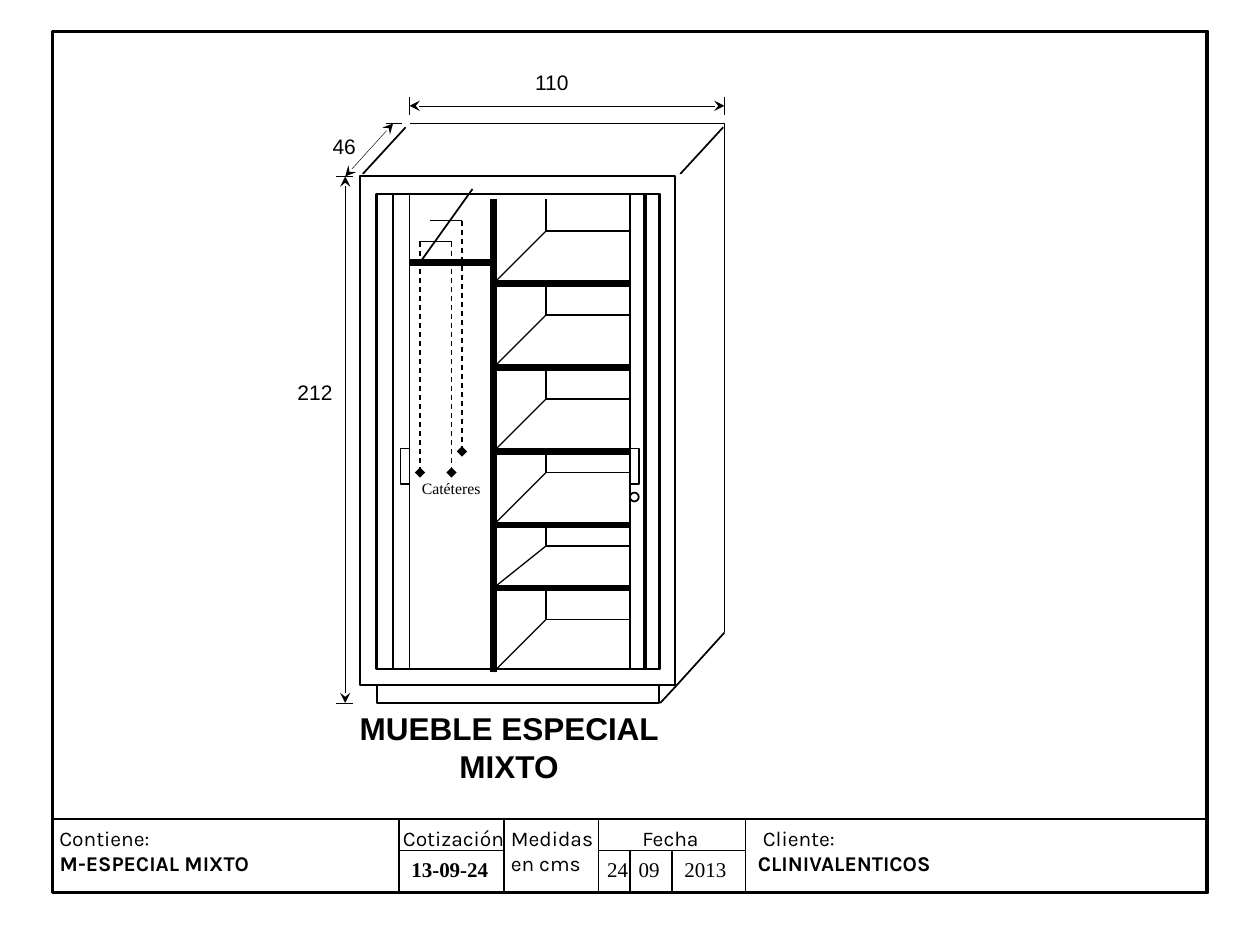
"""Draw the dimensioned sheet of a mixed special cabinet on a twelfth-of-an-inch grid."""
from dataclasses import dataclass

from lxml import etree
from pptx import Presentation
from pptx import util as u
from pptx.dml.color import RGBColor
from pptx.enum import dml, shapes, text
from pptx.oxml.ns import qn


@dataclass(frozen=True)
class Theme:
    """Colours, fonts, type sizes and line weights of the sheet."""
    ink: RGBColor = RGBColor(0, 0, 0)
    label: str = "Karla"
    value: str = "Times New Roman"
    drawing: str = "Arial"
    small: float = 9
    body: float = 12
    title: float = 18
    hair: float = 0.25
    thin: float = 0.75
    outline: float = 1
    opening: float = 1.5
    frame: float = 2.25
    board: float = 3.5


THEME = Theme()
COLUMNS, ROWS = 120, 90


def grid(*counts):
    """Turn counts of grid columns or rows into lengths."""
    return [u.Inches(count / 12) for count in counts]


def apply(target, values):
    """Set each named attribute of the target."""
    for name, value in values.items():
        setattr(target, name, value)


def style_line(line, weight, dash=None):
    """Give a line its ink, weight and dash."""
    line.color.rgb = THEME.ink
    apply(line, {"width": u.Pt(weight), "dash_style": dash})


def add_box(slide, left, top, width, height, weight=THEME.outline,
            kind=shapes.MSO_SHAPE.RECTANGLE):
    """Add an unfilled outline shape."""
    shape = slide.shapes.add_shape(kind, *grid(left, top, width, height))
    shape.shadow.inherit = False
    shape.fill.background()
    style_line(shape.line, weight)


def add_line(slide, x1, y1, x2, y2, weight=THEME.thin, dash=None, head=None, tail=None):
    """Add a straight line, with optional dash and end marks."""
    line = slide.shapes.add_connector(
        shapes.MSO_CONNECTOR.STRAIGHT, *grid(x1, y1, x2, y2))
    style_line(line.line, weight, dash)
    properties = line._element.spPr
    outline = properties.find(qn("a:ln"))
    for tag, mark in (("a:headEnd", head), ("a:tailEnd", tail)):
        if mark:
            etree.SubElement(outline, qn(tag), type=mark)
    etree.SubElement(properties, qn("a:effectLst"))


def add_text(slide, place, lines, font, size=THEME.body, wrap=True, bold=(),
             align=text.PP_ALIGN.LEFT):
    """Add a text box with one paragraph per line; bold holds line indexes."""
    frame = slide.shapes.add_textbox(*grid(*place)).text_frame
    apply(frame, {"word_wrap": wrap, "auto_size": text.MSO_AUTO_SIZE.SHAPE_TO_FIT_TEXT})
    for index, words in enumerate(lines):
        paragraph = frame.add_paragraph() if index else frame.paragraphs[0]
        paragraph.alignment = align
        run = paragraph.add_run()
        run.text = words
        apply(run.font, {"name": font, "size": u.Pt(size), "bold": index in bold})
        run.font.color.rgb = THEME.ink


def add_title_block(slide):
    """Add the sheet frame and the block of fields at its foot."""
    left, right, top, middle, bottom = 5, 115, 78, 81, 85
    add_box(slide, left, 3, right - left, 82, THEME.frame)
    add_line(slide, left, top, right, top)
    for column in (38, 48, 57, 71):
        add_line(slide, column, top, column, bottom)
    for column in (60, 64):
        add_line(slide, column, middle, column, bottom)
    for start, end in ((38, 48), (57, 71)):
        add_line(slide, start, middle, end, middle)
    for column, width, lines, bold in (
            (4, 37, [" Contiene:", " M-ESPECIAL MIXTO"], (1,)),
            (71, 43, [" Cliente:", "CLINIVALENTICOS"], (1,)),
            (47, 16.2, [" Medidas", " en cms"], ()),
            (60, 11, ["Fecha"], ()),
            (36.72, 16.2, [" Cotización"], ())):
        add_text(slide, (column, top, width, 3 * len(lines)), lines, THEME.label, bold=bold)
    add_text(slide, (38, middle, 12, 3.6), ["13-09-24"], THEME.value, bold=(0,))
    for column, width, words in ((56.64, 4.44, "24"), (59.64, 4.44, "09"), (64, 6.36, "2013")):
        add_text(slide, (column, middle, width, 3.6), [words], THEME.value, wrap=False)


def add_carcass(slide):
    """Add the cabinet body, its receding sides, doors, handles and lock."""
    add_box(slide, 35.88, 18.48, 26.88, 45.24, THEME.opening)
    add_box(slide, 34.32, 16.8, 30, 48.48)
    add_box(slide, 35.88, 65.28, 26.88, 1.68)
    for ends in ((64.8, 16.56, 68.88, 12.12), (69, 11.76, 69, 60.24),
                 (62.88, 66.96, 64.44, 65.28), (64.44, 65.28, 69, 60.24),
                 (69, 11.76, 39, 11.76), (34.56, 16.56, 38.64, 12.12)):
        add_line(slide, *ends, THEME.outline)
    for column in (35.88, 37.44, 60, 61.32):
        add_box(slide, column, 18.48, 1.56, 45.24)
    for column in (38.16, 60):
        add_box(slide, column, 42.72, 0.84, 3.36)
    add_box(slide, 60, 46.92, 0.84, 0.84, kind=shapes.MSO_SHAPE.OVAL)


def add_shelves(slide):
    """Add the partition and the compartments on its right."""
    front, back, right = 47, 52, 60
    edges = (19, 27, 35, 43, 50, 56, 64)
    depths = (22, 30, 38, 45, 52, 59)
    add_line(slide, front, edges[0], front, edges[-1], THEME.board)
    for ceiling, floor, depth in zip(edges, edges[1:], depths):
        add_line(slide, back, ceiling, back, depth)
        add_line(slide, back, depth, right, depth)
        add_line(slide, front, floor, back, depth)
        if floor != edges[-1]:
            add_line(slide, front, floor, right, floor, THEME.board)


def add_catheter_rack(slide):
    """Add the shelf, rod and hanging catheters on the left."""
    add_line(slide, 39, 25, 47, 25, THEME.board)
    add_line(slide, 40, 25, 45, 18, THEME.outline)
    add_line(slide, 40, 23, 43, 23)
    add_line(slide, 41, 21, 44, 21)
    for column, row in ((40, 23), (43, 23), (44, 21)):
        add_line(slide, column, row, column, row + 22,
                 dash=dml.MSO_LINE.DASH, tail="diamond")
    add_text(slide, (39, 45, 8, 3), ["Catéteres"], THEME.value, THEME.small, wrap=False)


def add_dimensions(slide):
    """Add the extension ticks, arrows and measures."""
    for ends in ((33.6, 66.96, 32.04, 66.96), (33.6, 16.8, 32.04, 16.8),
                 (38.28, 11.76, 36.72, 11.76), (39, 10.92, 39, 9.24),
                 (69, 10.92, 69, 9.24)):
        add_line(slide, *ends, THEME.hair)
    for ends, place, measure in (
            ((39, 10.08, 69, 10.08), (49.68, 6, 5.76, 3.6), "110"),
            ((37.44, 11.76, 32.88, 16.8), (30.48, 12.12, 5.16, 3.6), "46 "),
            ((32.88, 16.8, 32.88, 66.96), (27.12, 35.52, 5.76, 3.6), "212")):
        add_line(slide, *ends, THEME.hair, head="stealth", tail="stealth")
        add_text(slide, place, [measure], THEME.drawing, wrap=False,
                 align=text.PP_ALIGN.CENTER)


def main():
    """Build and save the sheet."""
    presentation = Presentation()
    width, height = grid(COLUMNS, ROWS)
    apply(presentation, {"slide_width": width, "slide_height": height})
    slide = presentation.slides.add_slide(presentation.slide_layouts[6])
    add_title_block(slide)
    add_carcass(slide)
    add_dimensions(slide)
    add_text(slide, (33, 66.96, 30.96, 8.52), ["MUEBLE ESPECIAL MIXTO"], THEME.drawing,
             THEME.title, bold=(0,), align=text.PP_ALIGN.CENTER)
    add_shelves(slide)
    add_catheter_rack(slide)
    presentation.save("out.pptx")


if __name__ == "__main__":
    main()
